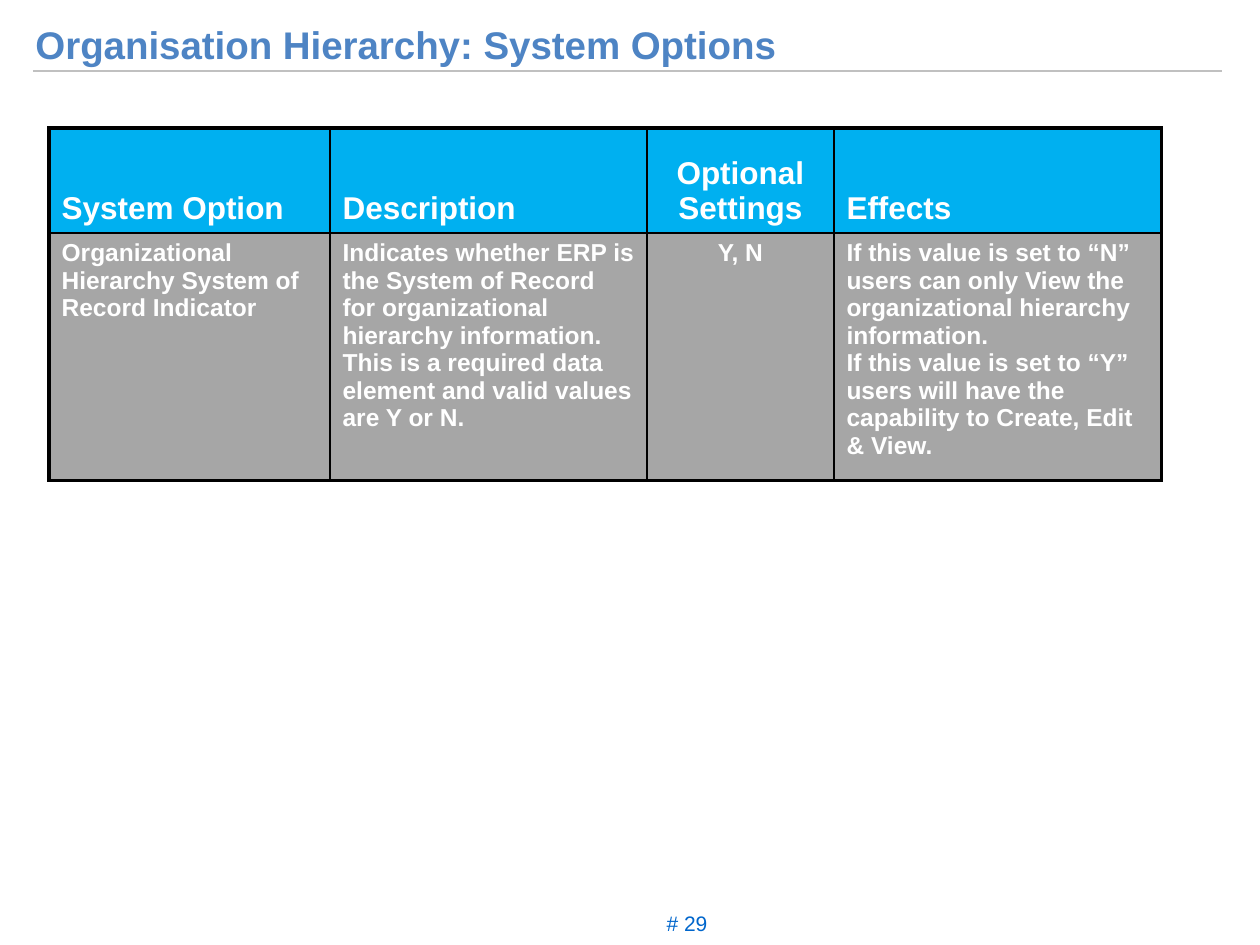
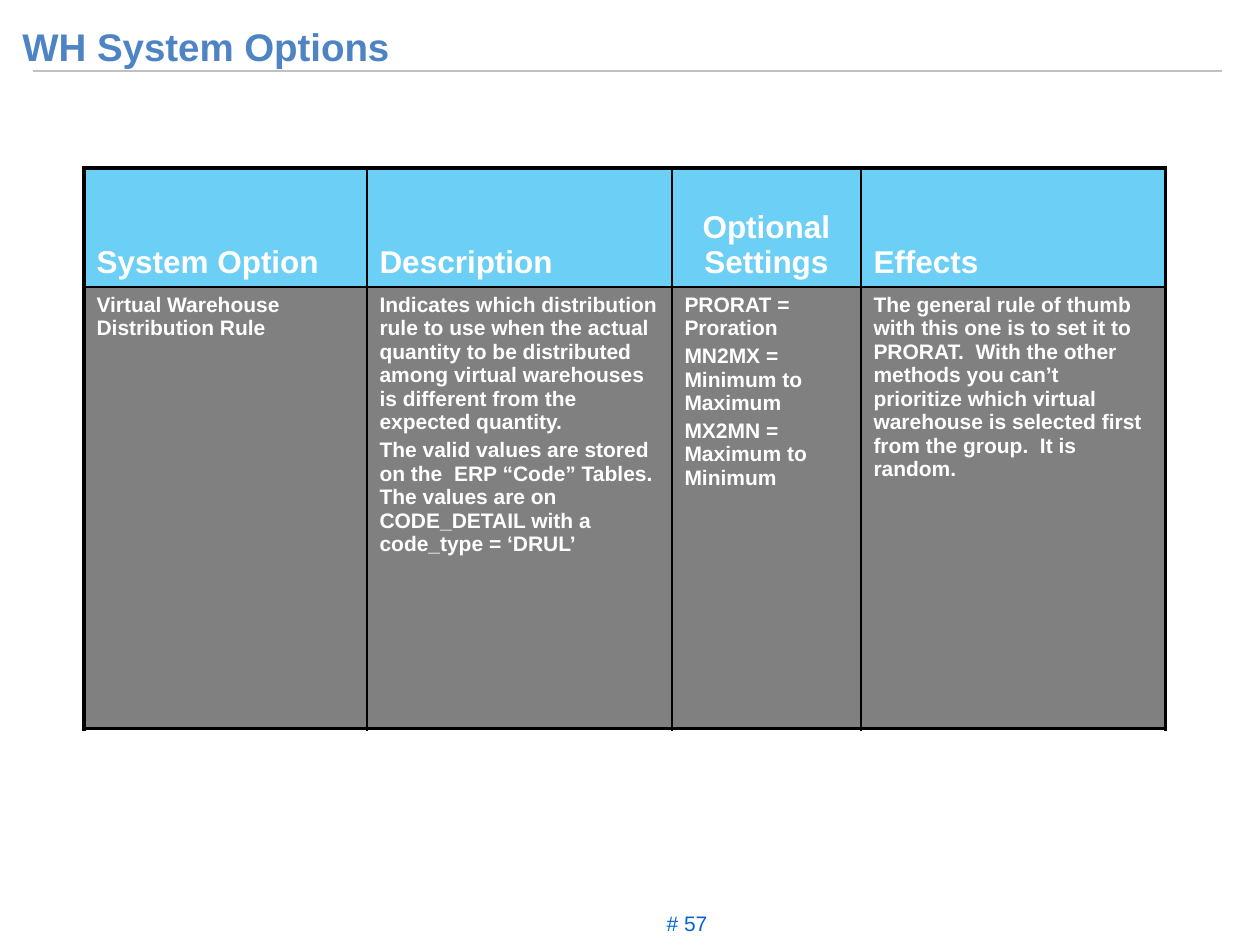
from lxml import etree
from pptx import Presentation
from pptx.dml.color import RGBColor
from pptx.enum.shapes import MSO_CONNECTOR as Connector
from pptx.enum.text import MSO_ANCHOR as Anchor, PP_ALIGN as Align
from pptx.oxml.ns import qn
from pptx.util import Emu, Pt

PX = 914400 / 126
FONT = "Arial"
WHITE = RGBColor(0xFF, 0xFF, 0xFF)
BLACK = RGBColor(0x00, 0x00, 0x00)
RULE_GREY = RGBColor(0xC0, 0xC0, 0xC0)
TITLE_BLUE = RGBColor(0x4E, 0x84, 0xC4)
NUMBER_BLUE = RGBColor(0x00, 0x66, 0xCC)
BRIGHT_BLUE = RGBColor(0x00, 0xB0, 0xF0)
PALE_BLUE = RGBColor(0x6C, 0xCF, 0xF6)
LIGHT_GREY = RGBColor(0xA6, 0xA6, 0xA6)
DARK_GREY = RGBColor(0x80, 0x80, 0x80)

HEADINGS = ["System Option", "Description", "Optional Settings", "Effects"]
SETTINGS_COLUMN = 2

ORGANISATION_OPTION = [
    ["Organizational Hierarchy System of Record Indicator"],
    ["Indicates whether ERP is the System of Record for organizational hierarchy "
     "information.  This is a required data element and valid values are Y or N."],
    ["Y, N"],
    ["If this value is set to “N” users can only View the organizational "
     "hierarchy information.",
     "If this value is set to “Y” users will have the capability to Create, "
     "Edit & View."],
]
WAREHOUSE_OPTION = [
    ["Virtual Warehouse Distribution Rule"],
    ["Indicates which distribution rule to use when the actual quantity to be "
     "distributed among virtual warehouses is different from the expected quantity.",
     "The valid values are stored on the  ERP “Code” Tables.  The values are on "
     "CODE_DETAIL with a code_type = ‘DRUL’"],
    ["PRORAT = Proration", "MN2MX = Minimum to Maximum", "MX2MN = Maximum to Minimum"],
    ["The general rule of thumb with this one is to set it to PRORAT.  With the "
     "other methods you can’t prioritize which virtual warehouse is selected "
     "first from the group.  It is random."],
]


def px(length):
    return Emu(round(length * PX))


def write(frame, texts, size, color, bold=False, align=Align.LEFT, line=None, before=0):
    """Fill a text frame with one paragraph per text."""
    frame.word_wrap = True
    for index, text in enumerate(texts):
        para = frame.paragraphs[0] if index == 0 else frame.add_paragraph()
        para.alignment = align
        para.space_before = Pt(before)
        if line:
            para.line_spacing = line
        span = para.add_run()
        span.text = text
        span.font.name = FONT
        span.font.size = Pt(size)
        span.font.bold = bold
        span.font.color.rgb = color
        # The paragraph mark must not be taller than the text, or the row grows.
        etree.SubElement(para._p, qn("a:endParaRPr"), sz=str(size * 100))


def add_text(page, box, text, size, color, line, **style):
    shape = page.shapes.add_textbox(*map(px, box))
    write(shape.text_frame, [text], size, color, line=line, **style)


def add_header(page, title, box):
    rule = page.shapes.add_connector(Connector.STRAIGHT, px(33), px(71), px(1222), px(71))
    rule.line.color.rgb = RULE_GREY
    rule.line.width = Pt(0.75)
    etree.SubElement(rule._element.spPr, qn("a:effectLst"))
    add_text(page, box, title, 22, TITLE_BLUE, 1.15, bold=True)


def add_page_number(page, number):
    add_text(page, (640, 903, 94, 38), f"# {number}", 12, NUMBER_BLUE, 1.04,
             align=Align.CENTER)


def set_borders(cell, widths):
    """Draw black cell borders; widths gives points for each side, L R T B."""
    properties = cell._tc.get_or_add_tcPr()
    for index, (side, width) in enumerate(widths.items()):
        border = etree.Element(qn(f"a:ln{side}"), w=str(Pt(width)))
        fill = etree.SubElement(border, qn("a:solidFill"))
        etree.SubElement(fill, qn("a:srgbClr"), val=str(BLACK))
        properties.insert(index, border)


def add_option_table(page, corner, columns, rows, option, fills, size,
                     settings_align=Align.LEFT, before=0):
    box = (*corner, sum(columns), sum(rows))
    table = page.shapes.add_table(len(rows), len(columns), *map(px, box)).table
    for column, width in zip(table.columns, columns):
        column.width = px(width)
    for row, height in zip(table.rows, rows):
        row.height = px(height)
    last_row, last_column = len(rows) - 1, len(columns) - 1
    for r, contents in enumerate([[[text] for text in HEADINGS], option]):
        heading = r == 0
        for c, texts in enumerate(contents):
            cell = table.cell(r, c)
            cell.fill.solid()
            cell.fill.fore_color.rgb = fills[r]
            cell.vertical_anchor = Anchor.BOTTOM if heading else Anchor.TOP
            align = Align.LEFT
            if c == SETTINGS_COLUMN:
                align = Align.CENTER if heading else settings_align
            write(cell.text_frame, texts, 18 if heading else size, WHITE, bold=True,
                  align=align, before=0 if heading else before)
            outer = {"L": c == 0, "R": c == last_column, "T": heading, "B": r == last_row}
            set_borders(cell, {side: 2 if edge else 1 for side, edge in outer.items()})


def build_organisation_page(page):
    add_header(page, "Organisation Hierarchy: System Options", (23, 8, 1206, 66))
    add_option_table(page, (49, 128), (281, 317, 187, 328), (105, 241),
                     ORGANISATION_OPTION, (BRIGHT_BLUE, LIGHT_GREY), 14,
                     settings_align=Align.CENTER)
    add_page_number(page, 29)


def build_warehouse_page(page):
    add_header(page, "WH System Options", (10, 10, 1045, 62))
    add_option_table(page, (84, 168), (283, 305, 189, 305), (119, 442),
                     WAREHOUSE_OPTION, (PALE_BLUE, DARK_GREY), 12, before=2.4)
    add_page_number(page, 57)


def main():
    deck = Presentation()
    deck.slide_width, deck.slide_height = px(1260), px(945)
    blank = deck.slide_layouts[6]
    for build in (build_organisation_page, build_warehouse_page):
        build(deck.slides.add_slide(blank))
    deck.save("out.pptx")


if __name__ == "__main__":
    main()
